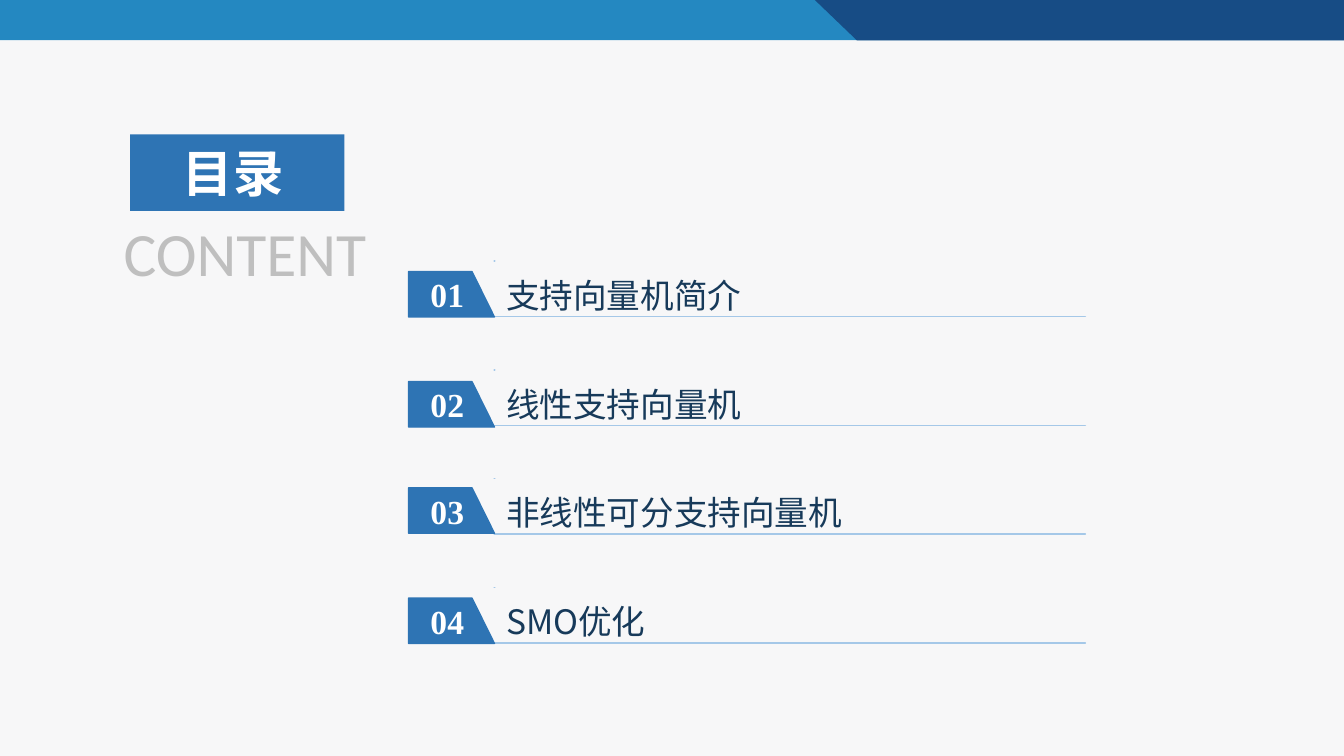
from lxml import etree
from pptx import Presentation
from pptx.dml.color import RGBColor
from pptx.enum import shapes, text
from pptx.oxml.ns import qn
from pptx.util import Pt

CJK = "Noto Sans CJK SC"
BLUE, WHITE = "2E74B4", "FFFFFF"
ENTRIES = ["支持向量机简介", "线性支持向量机", "非线性可分支持向量机", "SMO优化"]
TAB_TOPS = [194, 272.6, 348.5, 427.2]
ENTRY_TOP, ENTRY_STEP, ENTRY_H = 186.5, 77.75, 39.5
TAB_X, TAB_W, TAB_H, TAB_SLANT = 291.8, 61.4, 32.4, 16
ENTRY_X, ENTRY_W = 353, 422.3


def color(hex_code):
    return RGBColor.from_string(hex_code)


def paint(sp, fill=None, line=None):
    sp.shadow.inherit = False
    if fill:
        sp.fill.solid()
        sp.fill.fore_color.rgb = color(fill)
    else:
        sp.fill.background()
    if line:
        sp.line.color.rgb = color(line)
        sp.line.width = Pt(1)
    else:
        sp.line.fill.background()


def write(sp, content, size, font, hex_code, bold=False, left=0, right=0,
          align=text.PP_ALIGN.CENTER, spacing=None):
    tf = sp.text_frame
    tf.word_wrap = True
    tf.vertical_anchor = text.MSO_ANCHOR.MIDDLE
    tf.margin_left, tf.margin_right = Pt(left), Pt(right)
    tf.margin_top = tf.margin_bottom = 0
    p = tf.paragraphs[0]
    p.alignment = align
    p.line_spacing = spacing
    r = p.add_run()
    r.text = content
    r.font.size, r.font.bold, r.font.name = Pt(size), bold, font
    r.font.color.rgb = color(hex_code)
    # East Asian typeface
    etree.SubElement(r._r.get_or_add_rPr(), qn("a:ea")).set("typeface", font)


def add_rect(s, x, y, w, h, fill):
    sp = s.shapes.add_shape(shapes.MSO_SHAPE.RECTANGLE, Pt(x), Pt(y), Pt(w), Pt(h))
    paint(sp, fill)
    return sp


def add_outline(s, *contours, fill=None, line=None):
    builder = None
    for contour in contours:
        start, *rest = [(Pt(x), Pt(y)) for x, y in contour]
        if builder is None:
            builder = s.shapes.build_freeform(*start)
        else:
            builder.move_to(*start)
        builder.add_line_segments(rest, close=True)
    sp = builder.convert_to_shape()
    paint(sp, fill, line)
    return sp


def add_textbox(s, x, y, w, h, content, **fmt):
    sp = s.shapes.add_textbox(Pt(x), Pt(y), Pt(w), Pt(h))
    write(sp, content, **fmt)


def add_entry(s, number, title, tab_top, top):
    # Title on an underline, with a short tick at the top of its frame
    bottom = top + ENTRY_H
    entry = add_outline(s, [(ENTRY_X, bottom), (ENTRY_X + ENTRY_W, bottom)],
                        [(ENTRY_X, top), (ENTRY_X + 0.5, top)], line="A5C8E8")
    write(entry, title, 24, CJK, "173A5A", left=8.5,
          align=text.PP_ALIGN.LEFT, spacing=1.3)
    # Numbered tab
    right, tab_bottom = TAB_X + TAB_W, tab_top + TAB_H
    tab = add_outline(s, [(TAB_X, tab_top), (right - TAB_SLANT, tab_top),
                          (right, tab_bottom), (TAB_X, tab_bottom)],
                      fill=BLUE, line=BLUE)
    write(tab, f"{number:02d}", 24, "Times New Roman", WHITE, bold=True, right=6)


def main():
    prs = Presentation()
    prs.slide_width, prs.slide_height = Pt(960), Pt(540)
    s = prs.slides.add_slide(prs.slide_layouts[6])
    s.background.fill.solid()
    s.background.fill.fore_color.rgb = color("F7F7F8")

    # Top band
    add_rect(s, 0, 0, 960, 28.8, "2488C1")
    add_outline(s, [(582, 0), (960, 0), (960, 28.8), (612, 28.8)], fill="174C85")

    # Heading
    heading = add_rect(s, 93, 96, 153, 54.7, BLUE)
    write(heading, "目录", 36, CJK, WHITE, bold=True, right=6)
    add_textbox(s, 60.5, 149.5, 229, 60.5, "CONTENT", size=44, font="Calibri",
                hex_code="BFBFBF")

    # Contents list
    for i, (title, tab_top) in enumerate(zip(ENTRIES, TAB_TOPS)):
        add_entry(s, i + 1, title, tab_top, ENTRY_TOP + i * ENTRY_STEP)

    prs.save("out.pptx")


if __name__ == "__main__":
    main()
